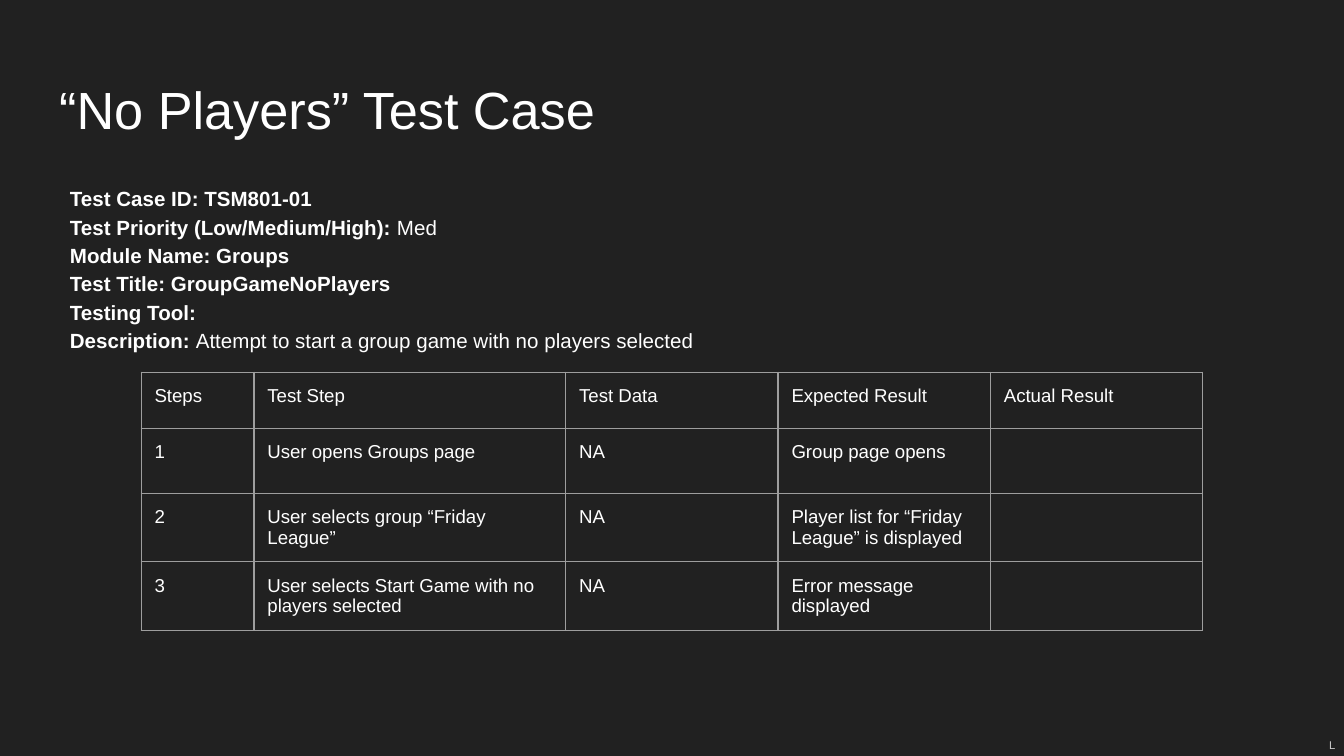
import pptx
import pptx.dml.color
import pptx.enum.text
import pptx.oxml
import pptx.oxml.ns
import pptx.util
from pptx.util import Inches

BACKGROUND = pptx.dml.color.RGBColor(0x21, 0x21, 0x21)
WHITE = pptx.dml.color.RGBColor(0xFF, 0xFF, 0xFF)
LIGHT_GREY = pptx.dml.color.RGBColor(0xCC, 0xCC, 0xCC)
BORDER = pptx.dml.color.RGBColor(0x9E, 0x9E, 0x9E)

DETAILS = [
    ("Test Case ID: TSM801-01", ""),
    ("Test Priority (Low/Medium/High): ", "Med"),
    ("Module Name: Groups", ""),
    ("Test Title: GroupGameNoPlayers", ""),
    ("Testing Tool:", ""),
    ("Description: ", "Attempt to start a group game with no players selected"),
]
STEPS = [
    ["Steps", "Test Step", "Test Data", "Expected Result", "Actual Result"],
    ["1", "User opens Groups page", "NA", "Group page opens", ""],
    ["2", "User selects group “Friday League”", "NA",
     "Player list for “Friday League” is displayed", ""],
    ["3", "User selects Start Game with no players selected", "NA",
     "Error message displayed", ""],
]
COLUMN_WIDTHS = [0.84, 2.32, 1.58, 1.58, 1.58]
ROW_HEIGHTS = [0.42, 0.48, 0.51, 0.51]


class SlideBuilder:
    font_name = "Arial"
    inset = Inches(0.1)

    def __init__(self, deck):
        self.page = deck.slides.add_slide(deck.slide_layouts[1])
        self.page.background.fill.solid()
        self.page.background.fill.fore_color.rgb = BACKGROUND

    def style_font(self, font, size, color=WHITE):
        font.name = self.font_name
        font.size = pptx.util.Pt(size)
        font.color.rgb = color

    def set_insets(self, holder):
        holder.margin_left = holder.margin_right = self.inset
        holder.margin_top = holder.margin_bottom = self.inset

    def prepare_box(self, box, left, top, width, height):
        """Place the box, fix its text frame settings and return the frame."""
        box.left, box.top = Inches(left), Inches(top)
        box.width, box.height = Inches(width), Inches(height)
        frame = box.text_frame
        frame.word_wrap = True
        frame.auto_size = pptx.enum.text.MSO_AUTO_SIZE.NONE
        self.set_insets(frame)
        return frame

    def title(self, text, *place):
        frame = self.prepare_box(self.page.shapes.title, *place)
        frame.vertical_anchor = pptx.enum.text.MSO_ANCHOR.MIDDLE
        para = frame.paragraphs[0]
        para.text = text
        para.alignment = pptx.enum.text.PP_ALIGN.LEFT
        self.style_font(para.font, 28)

    def details(self, items, *place):
        """Fill the body with bold labels, each followed by a plain value."""
        frame = self.prepare_box(self.page.placeholders[1], *place)
        for index, (label, value) in enumerate(items):
            para = frame.paragraphs[0] if index == 0 else frame.add_paragraph()
            properties = para._p.get_or_add_pPr()
            properties.set("marL", str(Inches(0.08)))
            properties.set("indent", "0")
            properties.append(pptx.oxml.parse_xml(
                f'<a:buNone {pptx.oxml.ns.nsdecls("a")}/>'))
            para.line_spacing = 1.15
            para.space_before = pptx.util.Pt(0)
            self.style_font(para.font, 11)
            for text, bold in ((label, True), (value, False)):
                if text:
                    span = para.add_run()
                    span.text = text
                    span.font.bold = bold

    def cell_borders(self, cell):
        properties = cell._tc.get_or_add_tcPr()
        for side in ("lnL", "lnR", "lnT", "lnB"):
            properties.append(pptx.oxml.parse_xml(
                f'<a:{side} {pptx.oxml.ns.nsdecls("a")} w="{pptx.util.Pt(0.75)}">'
                f'<a:solidFill><a:srgbClr val="{BORDER}"/></a:solidFill></a:{side}>'))

    def table(self, rows, left, top, widths, heights):
        table = self.page.shapes.add_table(
            len(rows), len(widths), Inches(left), Inches(top),
            Inches(sum(widths)), Inches(sum(heights))).table
        table.first_row = table.horz_banding = False
        for column, width in zip(table.columns, widths):
            column.width = Inches(width)
        for row, height, texts in zip(table.rows, heights, rows):
            row.height = Inches(height)
            for cell, text in zip(row.cells, texts):
                self.set_insets(cell)
                self.cell_borders(cell)
                cell.fill.background()
                cell.text = text
                self.style_font(cell.text_frame.paragraphs[0].font, 10)

    def label(self, text, *place):
        box = self.page.shapes.add_textbox(0, 0, 0, 0)
        para = self.prepare_box(box, *place).paragraphs[0]
        para.text = text
        self.style_font(para.font, 6, LIGHT_GREY)


def main():
    deck = pptx.Presentation()
    deck.slide_width = Inches(10)
    deck.slide_height = deck.slide_width * 9 // 16
    builder = SlideBuilder(deck)
    builder.title("“No Players” Test Case", 0.34, 0.49, 9.32, 0.63)
    builder.details(DETAILS, 0.34, 1.26, 9.32, 3.74)
    builder.table(STEPS, 1.05, 2.77, COLUMN_WIDTHS, ROW_HEIGHTS)
    builder.label("L", 9.79, 5.39, 0.21, 0.23)
    deck.save("out.pptx")


if __name__ == "__main__":
    main()
